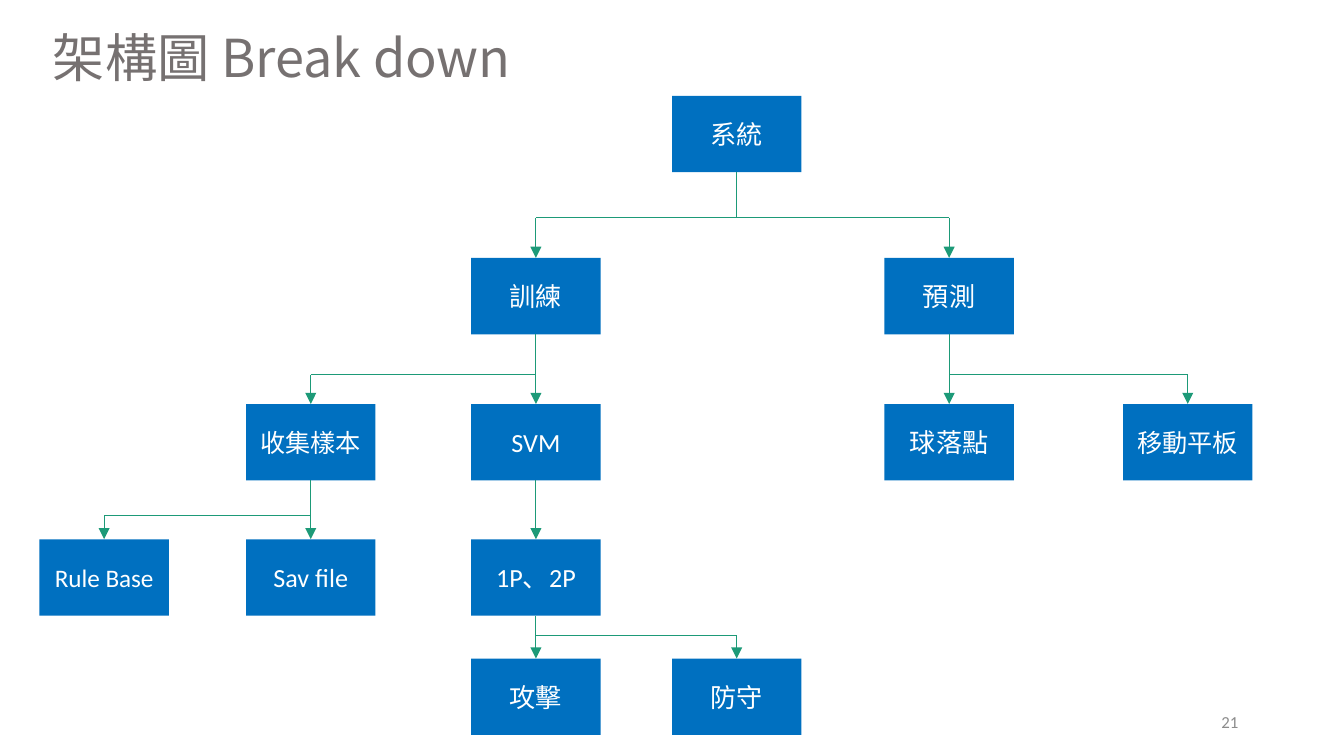
import pptx
import pptx.dml.color
import pptx.enum.shapes
import pptx.enum.text
import pptx.oxml.ns
import pptx.util
from lxml import etree

TITLE = "架構圖 Break down"
PAGE_NUMBER = "21"

# name: (column, row, type size key)
NODES = {
    "系統": (3, 0, "node"),
    "訓練": (2, 1, "node"),
    "預測": (4, 1, "node"),
    "收集樣本": (1, 2, "long_node"),
    "SVM": (2, 2, "node"),
    "球落點": (4, 2, "node"),
    "移動平板": (5, 2, "long_node"),
    "Rule Base": (0, 3, "long_node"),
    "Sav file": (1, 3, "node"),
    "1P、2P": (2, 3, "node"),
    "攻擊": (2, 4, "node"),
    "防守": (3, 4, "node"),
}
BRANCHES = {
    "系統": ("訓練", "預測"),
    "訓練": ("收集樣本", "SVM"),
    "預測": ("球落點", "移動平板"),
    "收集樣本": ("Rule Base", "Sav file"),
    "SVM": ("1P、2P",),
    "1P、2P": ("攻擊", "防守"),
}

THEME = {
    "title": "767171", "box": "0070C0", "text": "FFFFFF",
    "line": "1D9A78", "page": "8C8C8C",
    "font": "Calibri", "cjk_font": "Noto Sans CJK SC",
    "sizes": {"title": 28, "node": 14, "long_node": 13.5, "page": 9},
    "line_width": 0.5,
}

PX = 5715  # EMU, 160 px to the inch
COLUMN_LEFT = (47, 293, 561, 800, 1053, 1337)
ROW_TOP = (114, 307, 481, 642, 784)
BUS_Y = (259, 446, 614, 757)  # crossbar below each row
BOX_W, BOX_H = 154, 91


def px(*lengths):
    return [pptx.util.Emu(length * PX) for length in lengths]


def rgb(key):
    return pptx.dml.color.RGBColor.from_string(THEME[key])


def write(shape, text, size, color, align, font=THEME["font"]):
    paragraph = shape.text_frame.paragraphs[0]
    paragraph.alignment = align
    run = paragraph.add_run()
    run.text = text
    run.font.name = font
    run.font.size = pptx.util.Pt(THEME["sizes"][size])
    run.font.color.rgb = rgb(color)
    east_asian = etree.SubElement(run.font._element, pptx.oxml.ns.qn("a:ea"))
    east_asian.set("typeface", THEME["cjk_font"])


def add_line(slide, start, end, arrow=False):
    line = slide.shapes.add_connector(
        pptx.enum.shapes.MSO_CONNECTOR.STRAIGHT, *px(*start, *end))
    line.line.color.rgb = rgb("line")
    line.line.width = pptx.util.Pt(THEME["line_width"])
    if arrow:
        tail = etree.SubElement(line.line._get_or_add_ln(), pptx.oxml.ns.qn("a:tailEnd"))
        tail.set("type", "triangle")
    etree.SubElement(line._element.spPr, pptx.oxml.ns.qn("a:effectLst"))


def add_node(slide, name):
    column, row, size = NODES[name]
    box = slide.shapes.add_shape(
        pptx.enum.shapes.MSO_SHAPE.RECTANGLE,
        *px(COLUMN_LEFT[column], ROW_TOP[row], BOX_W, BOX_H))
    box.shadow.inherit = False
    box.fill.solid()
    box.fill.fore_color.rgb = rgb("box")
    box.line.fill.background()
    box.text_frame.vertical_anchor = pptx.enum.text.MSO_ANCHOR.MIDDLE
    write(box, name, size, "text", pptx.enum.text.PP_ALIGN.CENTER)


def add_branch(slide, parent, children):
    """Draw a trunk down to the crossbar, then an arrow into each child."""
    column, row, _ = NODES[parent]
    trunk_x = COLUMN_LEFT[column] + BOX_W // 2
    bus_y = BUS_Y[row]
    add_line(slide, (trunk_x, ROW_TOP[row] + BOX_H), (trunk_x, bus_y))
    for child in children:
        child_column, child_row, _ = NODES[child]
        child_x = COLUMN_LEFT[child_column] + BOX_W // 2
        if child_x != trunk_x:
            add_line(slide, (trunk_x, bus_y), (child_x, bus_y))
        add_line(slide, (child_x, bus_y), (child_x, ROW_TOP[child_row]), arrow=True)


def main():
    deck = pptx.Presentation()
    deck.slide_width, deck.slide_height = px(1600, 900)
    slide = deck.slides.add_slide(deck.slide_layouts[5])

    title = slide.shapes.title
    title.left, title.top, title.width, title.height = px(47, 22, 949, 91)
    title.text_frame.auto_size = pptx.enum.text.MSO_AUTO_SIZE.NONE
    title.text_frame.vertical_anchor = pptx.enum.text.MSO_ANCHOR.TOP
    write(title, TITLE, "title", "title",
          pptx.enum.text.PP_ALIGN.LEFT, THEME["cjk_font"])

    page = slide.shapes.add_textbox(*px(1130, 835, 360, 48))
    page.text_frame.word_wrap = True
    page.text_frame.vertical_anchor = pptx.enum.text.MSO_ANCHOR.MIDDLE
    write(page, PAGE_NUMBER, "page", "page", pptx.enum.text.PP_ALIGN.RIGHT)

    for name in NODES:
        add_node(slide, name)
    for parent, children in BRANCHES.items():
        add_branch(slide, parent, children)

    deck.save("out.pptx")


if __name__ == "__main__":
    main()
